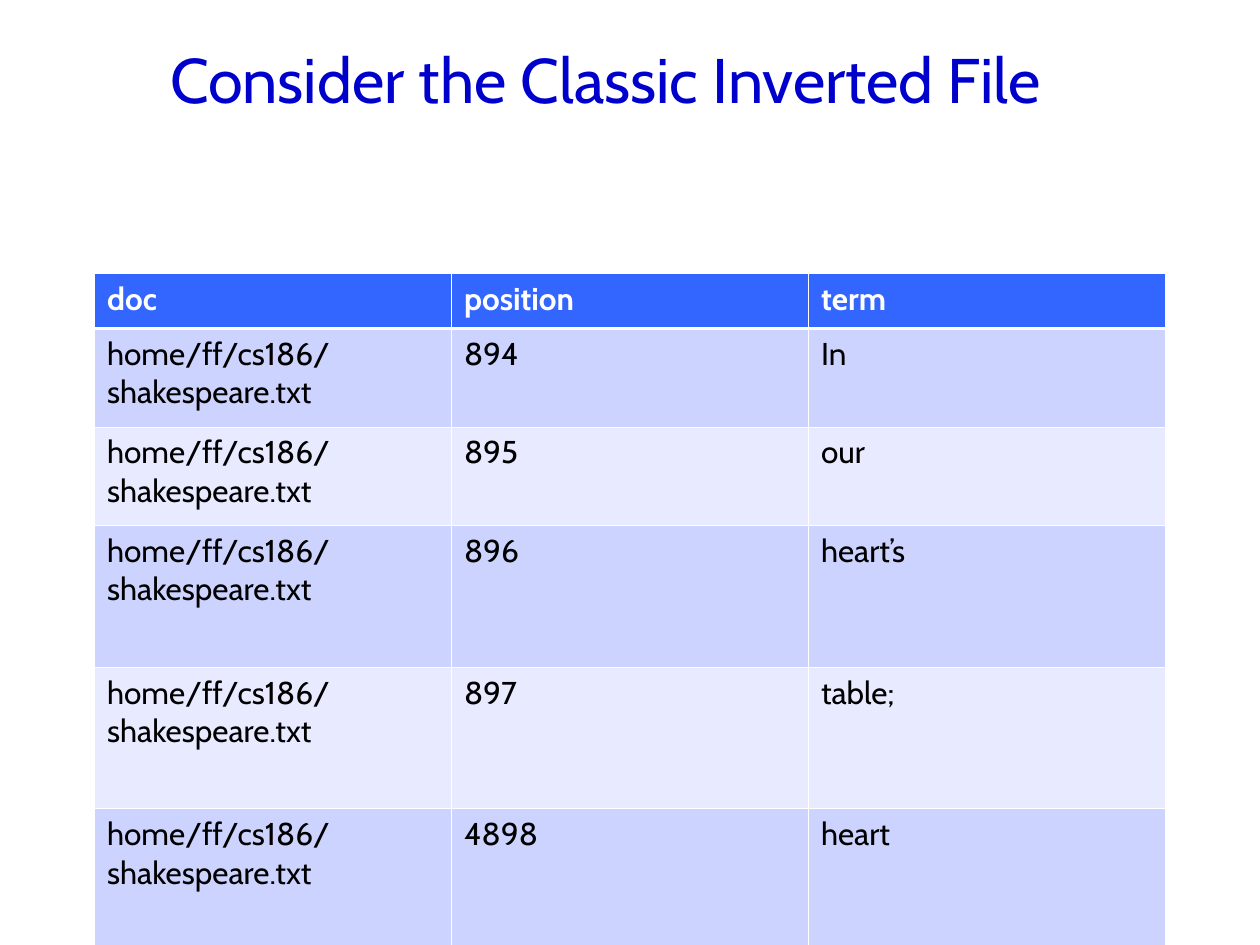
import pptx
import pptx.dml.color
import pptx.enum.text
import pptx.oxml
import pptx.oxml.ns
import pptx.util

Pt = pptx.util.Pt
RGBColor = pptx.dml.color.RGBColor

FONT = "Cabin"
TITLE_BLUE = RGBColor(0x00, 0x00, 0xCC)
HEADER_BLUE = RGBColor(0x33, 0x66, 0xFF)
DARK_BAND = RGBColor(0xCD, 0xD3, 0xFF)
LIGHT_BAND = RGBColor(0xE8, 0xEA, 0xFF)
WHITE = RGBColor(0xFF, 0xFF, 0xFF)
BLACK = RGBColor(0x00, 0x00, 0x00)

THIN, THICK = 0.45, 1.47
HEADINGS = ("doc", "position", "term")
DOCUMENT = "home/ff/cs186/shakespeare.txt"
POSTINGS = (
    ("894", "In"),
    ("895", "our"),
    ("896", "heart’s"),
    ("897", "table;"),
    ("4898", "heart"),
)
ROW_HEIGHTS = (31.3, 56.4, 56.4, 80.9, 80.9, 80.9)
COLUMN_WIDTH = 204


def style_font(font, size, color, bold=False):
    font.name = FONT
    font.size = Pt(size)
    font.bold = bold
    font.color.rgb = color


def add_title(page, text):
    title = page.shapes.title
    title.left, title.top = Pt(90), Pt(0)
    title.width, title.height = Pt(612), Pt(90)
    frame = title.text_frame
    frame.text = text
    frame.auto_size = pptx.enum.text.MSO_AUTO_SIZE.NONE
    frame.vertical_anchor = pptx.enum.text.MSO_ANCHOR.MIDDLE
    para = frame.paragraphs[0]
    para.alignment = pptx.enum.text.PP_ALIGN.LEFT
    style_font(para.font, 36, TITLE_BLUE)


def set_borders(cell, top, bottom):
    properties = cell._tc.get_or_add_tcPr()
    widths = {"lnL": THIN, "lnR": THIN, "lnT": top, "lnB": bottom}
    for index, (side, width) in enumerate(widths.items()):
        line = pptx.oxml.parse_xml(
            f'<a:{side} {pptx.oxml.ns.nsdecls("a")} w="{int(Pt(width))}">'
            f'<a:solidFill><a:srgbClr val="{WHITE}"/></a:solidFill></a:{side}>'
        )
        properties.insert(index, line)


def fill_cell(cell, text, row):
    cell.text = text
    cell.fill.solid()
    if row == 0:
        cell.fill.fore_color.rgb = HEADER_BLUE
    else:
        cell.fill.fore_color.rgb = DARK_BAND if row % 2 else LIGHT_BAND
    color = WHITE if row == 0 else BLACK
    style_font(cell.text_frame.paragraphs[0].font, 18, color, row == 0)
    top = THICK if row == 1 else THIN
    bottom = THICK if row == 0 else THIN
    set_borders(cell, top, bottom)


def add_index_table(page):
    records = [HEADINGS] + [(DOCUMENT, *posting) for posting in POSTINGS]
    table = page.shapes.add_table(
        len(records), len(HEADINGS), Pt(54), Pt(156.4),
        Pt(COLUMN_WIDTH * len(HEADINGS)), Pt(sum(ROW_HEIGHTS)),
    ).table
    for column in table.columns:
        column.width = Pt(COLUMN_WIDTH)
    for row, record in enumerate(records):
        table.rows[row].height = Pt(ROW_HEIGHTS[row])
        for column, text in enumerate(record):
            fill_cell(table.cell(row, column), text, row)


def main():
    deck = pptx.Presentation()
    deck.slide_width, deck.slide_height = Pt(720), Pt(540)
    page = deck.slides.add_slide(deck.slide_layouts[5])
    add_title(page, "Consider the Classic Inverted File")
    add_index_table(page)
    deck.save("out.pptx")


if __name__ == "__main__":
    main()
